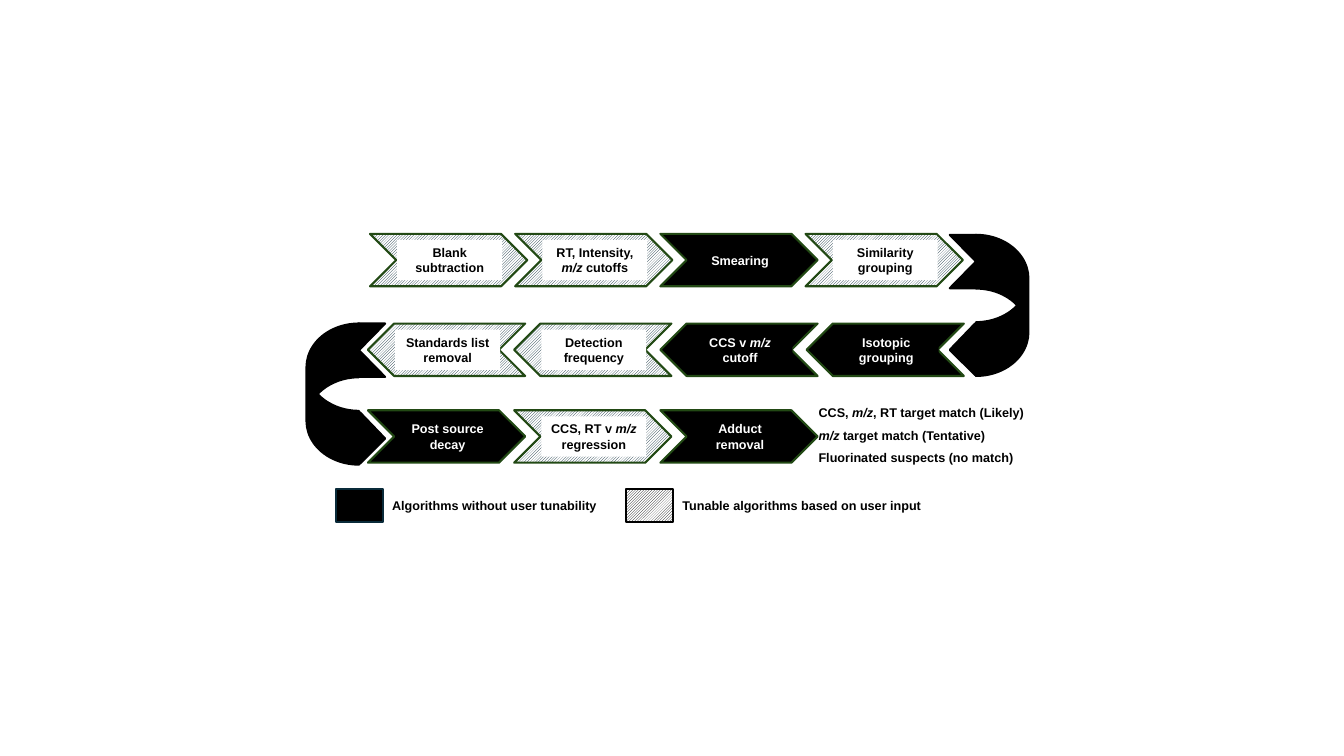
from pptx import Presentation
from pptx.dml.color import RGBColor
from pptx.enum.dml import MSO_PATTERN_TYPE as Pattern
from pptx.enum.shapes import MSO_CONNECTOR, MSO_SHAPE as Preset
from pptx.enum.text import MSO_ANCHOR as Anchor, PP_ALIGN as Align
from pptx.oxml.ns import qn
from pptx.util import Inches, Pt
from lxml import etree

BLACK, WHITE, GREEN, NAVY = "000000", "FFFFFF", "224914", "042433"
STEP_W, STEP_H = 1.56, 0.52
TURN_W = 0.91

# Each row: left, top, pitch, runs leftward, steps as (text, tunable)
ROWS = [
    (3.67, 2.32, 1.44, False, [("Blank subtraction", True), ("RT, Intensity, m/z cutoffs", True),
                               ("Smearing", False), ("Similarity grouping", True)]),
    (3.65, 3.21, 1.45, True, [("Standards list removal", True), ("Detection frequency", True),
                              ("CCS v m/z cutoff", False), ("Isotopic grouping", False)]),
    (3.65, 4.07, 1.45, False, [("Post source decay", False), ("CCS, RT v m/z regression", True),
                               ("Adduct removal", False)]),
]
OUTCOMES = ["CCS, m/z, RT target match (Likely)", "m/z target match (Tentative)",
            "Fluorinated suspects (no match)"]


def color(value):
    return RGBColor.from_string(value)


def paint(shape, fill, outline=None, hatch=None):
    """Fill solid, or hatch over the fill colour; no outline when None."""
    shape.shadow.inherit = False
    if hatch:
        shape.fill.patterned()
        shape.fill.pattern = Pattern.DARK_UPWARD_DIAGONAL
        shape.fill.fore_color.rgb = color(hatch)
        shape.fill.back_color.rgb = color(fill)
    else:
        shape.fill.solid()
        shape.fill.fore_color.rgb = color(fill)
    if outline:
        shape.line.color.rgb = color(outline)
        shape.line.width = Pt(1.5)
    else:
        shape.line.fill.background()


def add_preset(page, preset, box, flip=False, **look):
    shape = page.shapes.add_shape(preset, *map(Inches, box))
    paint(shape, **look)
    if flip:
        shape.element.spPr.xfrm.set("flipH", "1")
    return shape


def write(shape, text, ink, align, inset):
    """Write bold text with any m/z in italics."""
    frame = shape.text_frame
    settings = {"word_wrap": True, "vertical_anchor": Anchor.MIDDLE,
                "margin_left": Inches(inset), "margin_right": Inches(inset)}
    for name, value in settings.items():
        setattr(frame, name, value)
    para = frame.paragraphs[0]
    para.alignment = align
    for part in filter(None, text.partition("m/z")):
        span = para.add_run()
        span.text = part
        look = {"name": "Arial", "size": Pt(9), "bold": True, "italic": part == "m/z"}
        for name, value in look.items():
            setattr(span.font, name, value)
        span.font.color.rgb = color(ink)


def add_note(page, text, box):
    write(page.shapes.add_textbox(*map(Inches, box)), text, BLACK, Align.LEFT, 0.1)


def add_step(page, text, tunable, left, top, leftward):
    fill, ink = (WHITE, BLACK) if tunable else (BLACK, WHITE)
    add_preset(page, Preset.CHEVRON, (left, top, STEP_W, STEP_H), leftward,
               fill=fill, outline=GREEN, hatch=NAVY if tunable else None)
    width, height = 1.04, 0.4 if " " in text else 0.25
    label = add_preset(page, Preset.RECTANGLE,
                       (left + 0.27, top + (STEP_H - height) / 2, width, height), fill=fill)
    write(label, text, ink, Align.CENTER, 0.07)


def add_turn(page, left, top, mirrored):
    """Link one row to the next; the left turn mirrors the right one."""
    def across(x, width=0):
        return left + (TURN_W - x - width if mirrored else x)

    def part(preset, x, y, width, height):
        return add_preset(page, preset, (across(x, width), top + y, width, height),
                          mirrored, fill=BLACK, outline=BLACK)

    # Curved band
    band = part(Preset.CURVED_LEFT_ARROW, 0.39, 0, 0.52, 1.4)
    for index, value in enumerate((1.243, 1.025, 0)):
        band.adjustments[index] = value
    edge = page.shapes.add_connector(
        MSO_CONNECTOR.STRAIGHT, Inches(across(0.39)), Inches(top + 0.1),
        Inches(across(0.65)), Inches(top + 0.27))
    edge.line.color.rgb = color(BLACK)
    edge.line.width = Pt(1.5)
    etree.SubElement(edge.element.spPr, qn("a:effectLst"))

    # Arrow tip, notched start and joins
    tip = part(Preset.ISOSCELES_TRIANGLE, 0, 1.01, 0.51, 0.25)
    tip.adjustments[0] = 0.49
    tip.rotation = 90 if mirrored else 270
    part(Preset.CHEVRON, 0.13, 0, 0.52, 0.53)
    outline = [(0.4, 0.01), (0.46, 0.02), (0.68, 0.24), (0.44, 0.49), (0.39, 0.48), (0.63, 0.25)]
    points = [(Inches(across(x)), Inches(top + y)) for x, y in outline]
    builder = page.shapes.build_freeform(*points[0])
    builder.add_line_segments(points[1:], close=True)
    paint(builder.convert_to_shape(), BLACK, BLACK)
    part(Preset.RECTANGLE, 0.39, 0.91, 0.05, 0.47)


def add_row(page, left, top, pitch, leftward, steps):
    for column, (text, tunable) in enumerate(steps):
        add_step(page, text, tunable, left + column * pitch, top, leftward)


def add_outcomes(page, left, top):
    for index, text in enumerate(OUTCOMES):
        add_note(page, text, (left, top + index * 0.22, 2.28, 0.25))


def add_legend(page, left, top):
    entries = [("Algorithms without user tunability", {"fill": BLACK, "outline": "092A39"}),
               ("Tunable algorithms based on user input",
                {"fill": WHITE, "outline": BLACK, "hatch": BLACK})]
    for index, (text, look) in enumerate(entries):
        start = left + index * 2.88
        add_preset(page, Preset.RECTANGLE, (start, top, 0.47, 0.33), **look)
        add_note(page, text, (start + 0.46, top + 0.04, 2.84, 0.25))


def main():
    deck = Presentation()
    deck.slide_width, deck.slide_height = Inches(13.33), Inches(7.5)
    page = deck.slides.add_slide(deck.slide_layouts[6])
    add_turn(page, 9.29, 2.33, mirrored=False)
    add_outcomes(page, 8.02, 3.97)
    for row in ROWS:
        add_row(page, *row)
    add_legend(page, 3.33, 4.85)
    add_turn(page, 3.04, 3.21, mirrored=True)
    deck.save("out.pptx")


if __name__ == "__main__":
    main()
